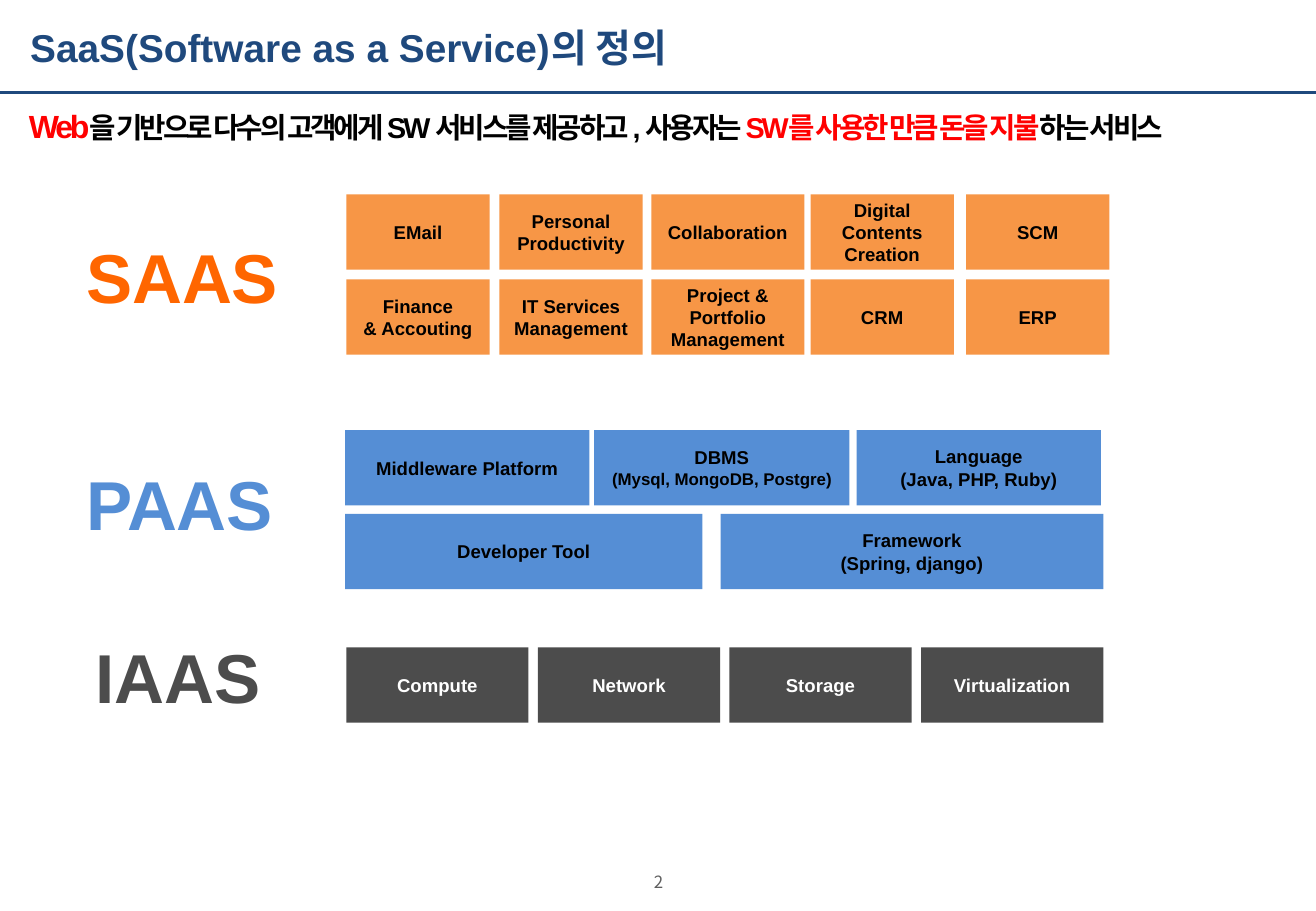
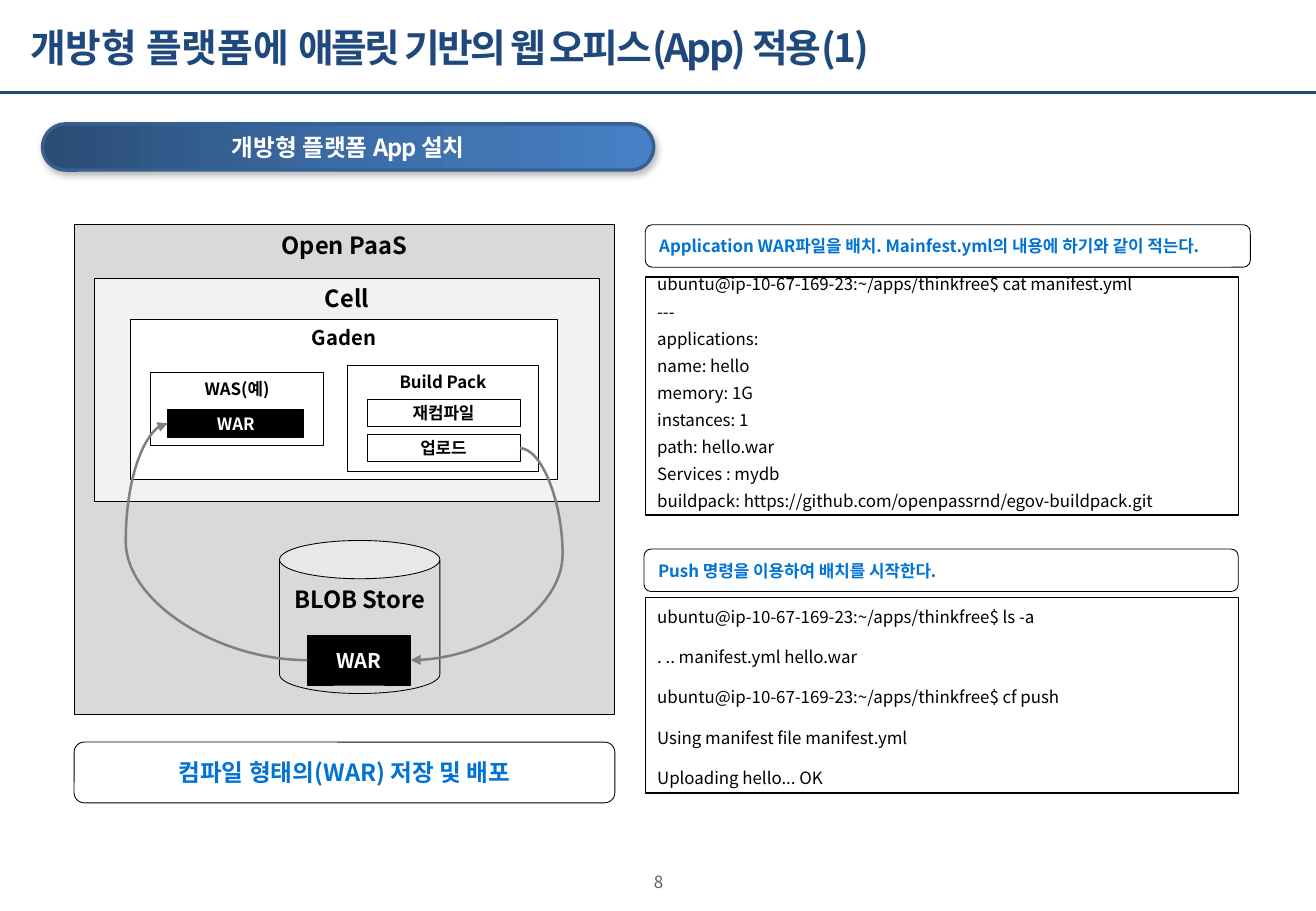
"""Build two slides on the SaaS definition and on installing an app on an open platform."""
from lxml.etree import SubElement
from pptx import Presentation
from pptx.dml.color import RGBColor
from pptx.enum.dml import MSO_LINE
from pptx.enum.shapes import MSO_CONNECTOR as CONNECTOR, MSO_SHAPE as SHAPE
from pptx.enum.text import MSO_ANCHOR as ANCHOR, PP_ALIGN as ALIGN
from pptx.oxml.ns import qn
from pptx.util import Inches, Pt

COLORS = {
    "navy": "1F497D", "page": "5F5F5F", "black": "000000", "white": "FFFFFF",
    "red": "FF0000", "saas_label": "FF6600", "saas": "F79646", "paas": "558ED5",
    "iaas": "4C4C4C", "accent": "0173D4", "platform": "D9D9D9", "cell": "F2F2F2",
    "arrow": "808080", "pill_line": "376092",
    "pill_start": "2A4C75", "pill_middle": "3C6CA6", "pill_end": "4780C5",
}
LATIN = "Arial"
KOREAN = "Noto Sans CJK KR"
SLIDE_WIDTH = 10.83
BOX_HEIGHT = 0.62


def rgb(name):
    return RGBColor.from_string(COLORS[name])


def style_run(run, size, color, bold, font, tracking):
    run.font.size = Pt(size)
    run.font.bold = bold
    run.font.color.rgb = rgb(color)
    run.font.name = font
    properties = run._r.get_or_add_rPr()
    SubElement(properties, qn("a:ea")).set("typeface", KOREAN)
    if tracking:
        properties.set("spc", str(round(tracking * 100)))


def write_text(shape, paragraphs, align=ALIGN.CENTER, anchor=ANCHOR.MIDDLE, inset=None,
               wrap=True, line_spacing=None, after=None, size=10, color="black",
               bold=True, font=KOREAN, tracking=0):
    """Fill a shape; a paragraph is a string or a list of (text, overrides) runs."""
    base = dict(size=size, color=color, bold=bold, font=font, tracking=tracking)
    frame = shape.text_frame
    frame.word_wrap = wrap
    frame.vertical_anchor = anchor
    if inset is not None:
        frame.margin_left = frame.margin_right = Inches(inset)
        frame.margin_top = frame.margin_bottom = Inches(inset)
    for index, runs in enumerate(paragraphs):
        paragraph = frame.add_paragraph() if index else frame.paragraphs[0]
        paragraph.alignment = align
        if line_spacing:
            paragraph.line_spacing = line_spacing
        if after is not None:
            paragraph.space_after = Pt(after)
        for text, overrides in [(runs, {})] if isinstance(runs, str) else runs:
            run = paragraph.add_run()
            run.text = text
            style_run(run, **{**base, **overrides})


def add_label(slide, place, paragraphs, **text_format):
    box = slide.shapes.add_textbox(*map(Inches, place))
    write_text(box, paragraphs, **text_format)


def add_box(slide, place, paragraphs, kind=SHAPE.RECTANGLE, fill="white", line="black",
            line_width=0.5, **text_format):
    box = slide.shapes.add_shape(kind, *map(Inches, place))
    box.shadow.inherit = False
    if fill:
        box.fill.solid()
        box.fill.fore_color.rgb = rgb(fill)
    else:
        box.fill.background()
    if line:
        box.line.color.rgb = rgb(line)
        box.line.width = Pt(line_width)
    else:
        box.line.fill.background()
    write_text(box, paragraphs, **text_format)
    return box


def add_line(slide, kind, start, end, color):
    line = slide.shapes.add_connector(kind, *map(Inches, (*start, *end)))
    line.line.color.rgb = rgb(color)
    line.line.width = Pt(1.5)
    line.line.dash_style = MSO_LINE.SOLID
    SubElement(line._element.spPr, qn("a:effectLst"))
    return line


def add_curved_arrow(slide, source, source_side, target, target_side, start, end, bend):
    arrow = add_line(slide, CONNECTOR.CURVE, start, end, "arrow")
    arrow.begin_connect(source, source_side)
    arrow.end_connect(target, target_side)
    guides = arrow._element.spPr.find(qn("a:prstGeom")).get_or_add_avLst()
    guide = SubElement(guides, qn("a:gd"))
    guide.set("name", "adj1")
    guide.set("fmla", f"val {round(bend * 100000)}")
    SubElement(arrow.line._get_or_add_ln(), qn("a:tailEnd")).set("type", "triangle")


def add_heading_pill(slide, place, runs):
    pill = add_box(slide, place, [runs], kind=SHAPE.ROUNDED_RECTANGLE, line="pill_line",
                   line_width=2, inset=0.08, wrap=False, size=14, color="white")
    pill.adjustments[0] = 0.5
    pill.fill.gradient()
    pill.fill.gradient_angle = 0
    properties = pill._element.spPr
    stops = properties.find(qn("a:gradFill")).find(qn("a:gsLst"))
    stops.clear()
    for position, name in ((0, "pill_start"), (50, "pill_middle"), (100, "pill_end")):
        stop = SubElement(stops, qn("a:gs"))
        stop.set("pos", str(position * 1000))
        SubElement(stop, qn("a:srgbClr")).set("val", COLORS[name])
    shadow = SubElement(properties.find(qn("a:effectLst")), qn("a:outerShdw"))
    for key, value in (("blurRad", Pt(4)), ("dist", Pt(2)), ("dir", 70 * 60000)):
        shadow.set(key, str(value))
    shade = SubElement(shadow, qn("a:srgbClr"))
    shade.set("val", COLORS["black"])
    SubElement(shade, qn("a:alpha")).set("val", "28000")


def add_framed_slide(presentation, title_runs, number):
    slide = presentation.slides.add_slide(presentation.slide_layouts[6])
    add_label(slide, (4.83, 7.18, 1.18, 0.16), [number], inset=0, color="page", bold=False)
    add_line(slide, CONNECTOR.STRAIGHT, (0, 0.76), (SLIDE_WIDTH, 0.76), "navy")
    add_label(slide, (0.15, 0.03, 8.01, 0.71), [title_runs], align=ALIGN.LEFT,
              size=23, color="navy", font=LATIN)
    return slide


def add_service_row(slide, top, columns, texts, fill, color="black"):
    for (left, width), paragraphs in zip(columns, texts):
        add_box(slide, (left, top, width, BOX_HEIGHT), paragraphs, fill=fill, line=None,
                size=11, color=color, font=LATIN)


def build_definition(presentation):
    slide = add_framed_slide(presentation, [("SaaS(Software as a Service)의 정의", {})], "2")
    red = {"color": "red"}
    add_label(slide, (0.14, 0.83, 10.69, 0.42), [[
        ("Web", {"size": 19, "tracking": -1.9, **red}),
        ("을 기반으로 다수의 고객에게 SW 서비스를 제공하고 , 사용자는 ", {}),
        ("SW를 사용한 만큼 돈을 지불", red),
        ("하는 서비스", {}),
    ]], align=ALIGN.LEFT, anchor=ANCHOR.TOP, size=17, font=LATIN, tracking=-1.8)

    for text, left, top, color in (("SAAS", 0.61, 1.88, "saas_label"),
                                   ("PAAS", 0.61, 3.75, "paas"),
                                   ("IAAS", 0.69, 5.17, "iaas")):
        add_label(slide, (left, top, 1.87, 0.79), [text], align=ALIGN.LEFT,
                  anchor=ANCHOR.TOP, size=41, color=color, font=LATIN)

    saas_columns = [(2.85, 1.18), (4.11, 1.18), (5.36, 1.26), (6.67, 1.18), (7.95, 1.18)]
    add_service_row(slide, 1.6, saas_columns, [
        ["EMail"], ["Personal", "Productivity"], ["Collaboration"],
        ["Digital Contents", "Creation"], ["SCM"]], "saas")
    add_service_row(slide, 2.3, saas_columns, [
        ["Finance", "& Accouting"], ["IT Services", "Management"],
        ["Project & Portfolio Management"], ["CRM"], ["ERP"]], "saas")

    add_service_row(slide, 3.54, [(2.84, 2.01), (4.89, 2.1), (7.05, 2.01)], [
        ["Middleware Platform"],
        ["DBMS", [("(Mysql, MongoDB, Postgre)", {"size": 10})]],
        ["Language", "(Java, PHP, Ruby)"]], "paas")
    add_service_row(slide, 4.23, [(2.84, 2.94), (5.93, 3.15)], [
        ["Developer Tool"], ["Framework", "(Spring, django)"]], "paas")

    iaas_pitch = (7.58 - 2.85) / 3
    iaas_columns = [(2.85 + index * iaas_pitch, 1.5) for index in range(4)]
    add_service_row(slide, 5.33, iaas_columns, [
        ["Compute"], ["Network"], ["Storage"], ["Virtualization"]], "iaas", "white")


def add_platform_diagram(slide):
    top = {"anchor": ANCHOR.TOP}
    add_box(slide, (0.61, 1.85, 4.45, 4.03), ["Open PaaS"], fill="platform", size=14, **top)
    add_box(slide, (2.3, 4.45, 1.32, 1.26), ["BLOB Store"], kind=SHAPE.CAN,
            fill="platform", size=14, **top)
    stored_war = add_box(slide, (2.53, 5.23, 0.85, 0.41), ["WAR"], fill="black",
                         size=12, color="white")
    add_box(slide, (0.78, 2.29, 4.15, 1.84), ["Cell"], fill="cell", size=14, **top)
    add_box(slide, (1.07, 2.63, 3.52, 1.32), ["Gaden"], size=12, **top)
    add_box(slide, (1.24, 3.07, 1.42, 0.6), ["WAS(예)"], **top)
    running_war = add_box(slide, (1.38, 3.37, 1.12, 0.23), ["WAR"], fill="black",
                          color="white")
    add_curved_arrow(slide, stored_war, 1, running_war, 1, (2.53, 5.44), (1.38, 3.48), 1.3)
    add_box(slide, (2.86, 3.01, 1.57, 0.87), ["Build Pack"], **top)
    add_box(slide, (3.02, 3.29, 1.26, 0.22), ["재컴파일"])
    upload = add_box(slide, (3.02, 3.58, 1.26, 0.22), ["업로드"])
    add_curved_arrow(slide, upload, 3, stored_war, 3, (4.28, 3.69), (3.38, 5.44), -0.39)


def add_caption(slide, place, text, **text_format):
    add_box(slide, place, [text], kind=SHAPE.ROUNDED_RECTANGLE, color="accent", **text_format)


def add_console(slide, top, height, lines, line_spacing):
    add_box(slide, (5.31, top, 4.88, height), lines, fill=None, line_width=0.75,
            align=ALIGN.LEFT, anchor=ANCHOR.TOP, bold=False,
            line_spacing=line_spacing, after=10)


def build_installation(presentation):
    slide = add_framed_slide(presentation, [
        ("개방형 플랫폼에 ", {}),
        ("애플릿 기반의 웹 오피스(App) 적용(1)", {"font": KOREAN, "tracking": -1.5}),
    ], "8")
    add_heading_pill(slide, (0.35, 1.02, 5.03, 0.38), [
        ("개방형 플랫폼 ", {"font": LATIN}), ("App 설치", {"tracking": -0.5})])
    add_caption(slide, (0.61, 6.11, 4.45, 0.5), "컴파일 형태의(WAR) 저장 및 배포", size=14)
    add_platform_diagram(slide)
    add_console(slide, 2.28, 1.96, [
        "ubuntu@ip-10-67-169-23:~/apps/thinkfree$ cat manifest.yml",
        "---",
        "applications:",
        "name: hello",
        "memory: 1G",
        "instances: 1",
        "path: hello.war",
        "Services : mydb",
        "buildpack: https://github.com/openpassrnd/egov-buildpack.git",
    ], 0.5)
    add_console(slide, 4.92, 1.61, [
        "ubuntu@ip-10-67-169-23:~/apps/thinkfree$ ls -a",
        ". .. manifest.yml hello.war",
        "ubuntu@ip-10-67-169-23:~/apps/thinkfree$ cf push",
        "Using manifest file manifest.yml",
        "Uploading hello... OK",
    ], 1.15)
    add_caption(slide, (5.31, 1.85, 4.98, 0.35),
                "Application WAR파일을 배치. Mainfest.yml의 내용에 하기와 같이 적는다.",
                align=ALIGN.LEFT)
    add_caption(slide, (5.3, 4.52, 4.89, 0.35), "Push 명령을 이용하여 배치를 시작한다.",
                align=ALIGN.LEFT)


def main():
    presentation = Presentation()
    presentation.slide_width = Inches(SLIDE_WIDTH)
    presentation.slide_height = Inches(7.5)
    build_definition(presentation)
    build_installation(presentation)
    presentation.save("out.pptx")


if __name__ == "__main__":
    main()
